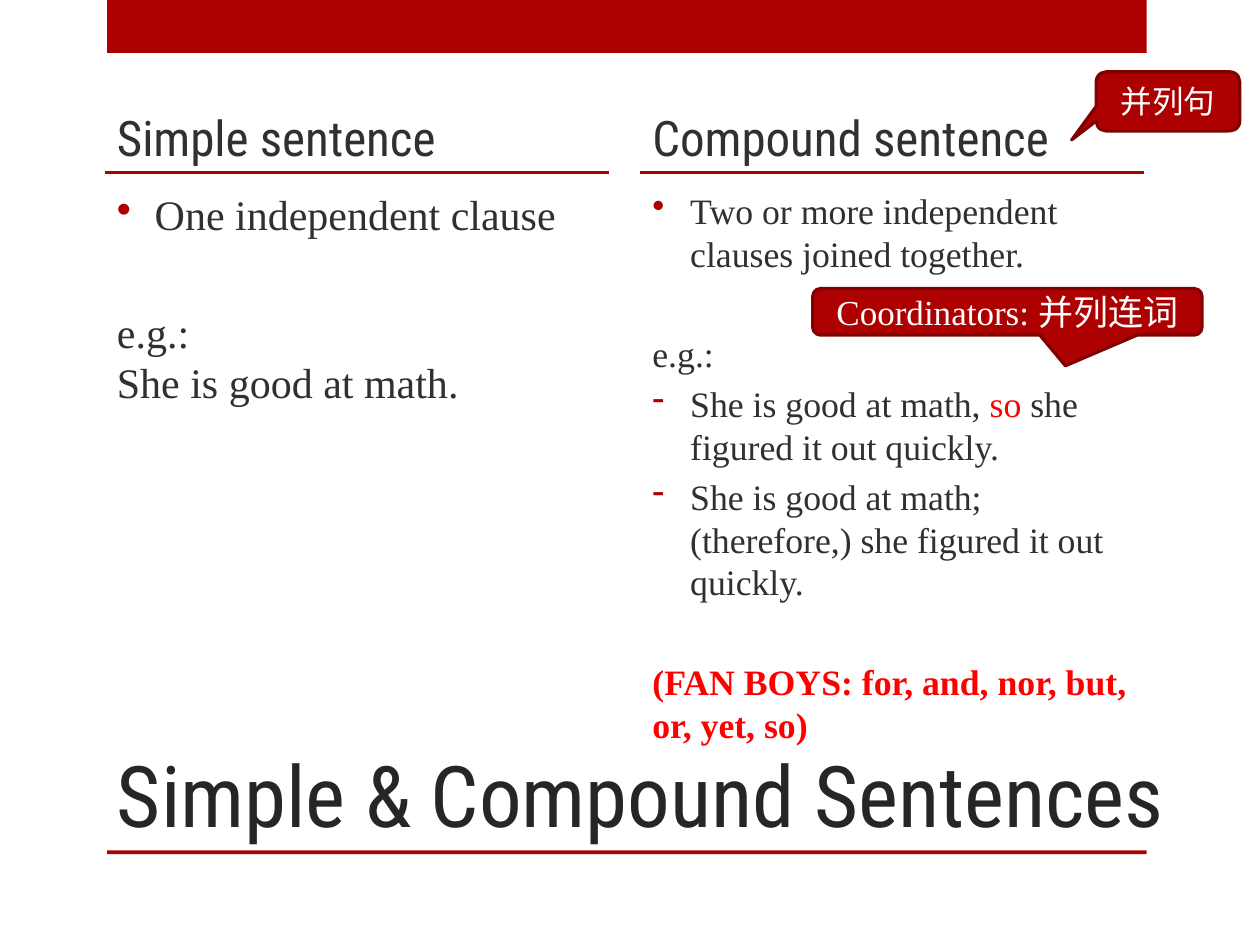
from dataclasses import dataclass

import pptx
import pptx.dml.color
import pptx.enum.shapes
import pptx.enum.text
import pptx.oxml
import pptx.oxml.ns
import pptx.util
from pptx.util import Inches

ANCHOR = pptx.enum.text.MSO_ANCHOR
SHAPE = pptx.enum.shapes.MSO_SHAPE


@dataclass(frozen=True)
class Theme:
    accent: str = "AD0101"
    accent_dark: str = "800101"
    highlight: str = "FF0000"
    title_ink: str = "262626"
    ink: str = "303030"
    paper: str = "FFFFFF"
    display: str = "Roboto Condensed"
    serif: str = "Times New Roman"
    title_size: float = 48.6
    heading_size: float = 28
    simple_size: float = 24
    compound_size: float = 20.4
    space: float = 0.2  # paragraph gap, as a share of the type size
    section_space: float = 1.6


T = Theme()


@dataclass(frozen=True)
class Run:
    text: str
    color: str = T.ink
    bold: bool = False


@dataclass(frozen=True)
class Para:
    runs: tuple[Run, ...]
    bullet: str = ""
    new_section: bool = False


@dataclass(frozen=True)
class Column:
    left: float
    heading: str
    size: float
    height: float
    paras: tuple[Para, ...]


@dataclass(frozen=True)
class Callout:
    box: tuple[float, float, float, float]
    tip: tuple[float, float]
    text: str
    size: float


COLUMNS = (
    Column(0.83, "Simple sentence", T.simple_size, 3.33, (
        Para((Run("One independent clause"),), "•"),
        Para((Run("e.g.: \nShe is good at math."),), new_section=True),
    )),
    Column(5.08, "Compound sentence", T.compound_size, 4.55, (
        Para((Run("Two or more independent clauses joined together."),), "•"),
        Para((Run("e.g.:"),), new_section=True),
        Para((Run("She is good at math, "), Run("so", T.highlight),
              Run(" she figured it out quickly.")), "-"),
        Para((Run("She is good at math; (therefore,) she figured it out quickly."),), "-"),
        Para((Run("(FAN BOYS: for, and, nor, but, or, yet, so)", T.highlight, True),),
             new_section=True),
    )),
)
CALLOUTS = (
    Callout((8.7, 0.57, 1.14, 0.47), (-0.671, 0.651), "并列句", 18),
    Callout((6.45, 2.29, 3.09, 0.37), (0.149, 1.159), "Coordinators: 并列连词", 20),
)
COLUMN_WIDTH = 4
RULE_Y = 1.37


def rgb(value: str) -> pptx.dml.color.RGBColor:
    return pptx.dml.color.RGBColor.from_string(value)


def add_run(p, run: Run, font: str, size: float) -> None:
    """Add the run, turning each newline into a line break."""
    for i, line in enumerate(run.text.split("\n")):
        if i:
            p.add_line_break()
        r = p.add_run()
        r.text = line
        for name, value in {"name": font, "size": pptx.util.Pt(size),
                            "bold": run.bold}.items():
            setattr(r.font, name, value)
        r.font.color.rgb = rgb(run.color)


def add_text_frame(s, box: tuple[float, ...], anchor):
    tf = s.shapes.add_textbox(*map(Inches, box)).text_frame
    tf.word_wrap = True
    tf.vertical_anchor = anchor
    return tf


def set_bullet(p, char: str) -> None:
    pPr = p._p.get_or_add_pPr()
    pPr.set("marL", str(Inches(0.3)))
    pPr.set("indent", str(-Inches(0.3)))
    ns = pptx.oxml.ns.nsdecls("a")
    for xml in (f'<a:buClr {ns}><a:srgbClr val="{T.accent}"/></a:buClr>',
                f'<a:buChar {ns} char="{char}"/>'):
        pPr.append(pptx.oxml.parse_xml(xml))


def add_filled(s, kind, box: tuple[float, ...]):
    sp = s.shapes.add_shape(kind, *map(Inches, box))
    sp.shadow.inherit = False
    sp.fill.solid()
    sp.fill.fore_color.rgb = rgb(T.accent)
    sp.line.fill.background()
    return sp


def add_rule(s, left: float) -> None:
    line = s.shapes.add_connector(
        pptx.enum.shapes.MSO_CONNECTOR.STRAIGHT,
        *map(Inches, (left, RULE_Y, left + COLUMN_WIDTH, RULE_Y)))
    line.line.color.rgb = rgb(T.accent)
    line.line.width = pptx.util.Pt(1.25)
    line._element.spPr.append(
        pptx.oxml.parse_xml(f'<a:effectLst {pptx.oxml.ns.nsdecls("a")}/>'))


def add_column(s, col: Column) -> None:
    add_rule(s, col.left)
    tf = add_text_frame(s, (col.left, 0.67, COLUMN_WIDTH, 0.7), ANCHOR.BOTTOM)
    add_run(tf.paragraphs[0], Run(col.heading), T.display, T.heading_size)

    tf = add_text_frame(s, (col.left, 1.45, COLUMN_WIDTH, col.height), ANCHOR.TOP)
    for i, para in enumerate(col.paras):
        p = tf.add_paragraph() if i else tf.paragraphs[0]
        share = T.section_space if para.new_section else T.space
        p.space_before = pptx.util.Pt(round(share * col.size, 1))
        if para.bullet:
            set_bullet(p, para.bullet)
        for run in para.runs:
            add_run(p, run, T.serif, col.size)


def add_callout(s, callout: Callout) -> None:
    sp = add_filled(s, SHAPE.ROUNDED_RECTANGULAR_CALLOUT, callout.box)
    for i, value in enumerate((*callout.tip, 0.167)):
        sp.adjustments[i] = value
    sp.line.color.rgb = rgb(T.accent_dark)
    sp.line.width = pptx.util.Pt(1.75)
    tf = sp.text_frame
    tf.word_wrap = True
    tf.vertical_anchor = ANCHOR.MIDDLE
    p = tf.paragraphs[0]
    p.alignment = pptx.enum.text.PP_ALIGN.CENTER
    add_run(p, Run(callout.text, T.paper), T.serif, callout.size)


def main() -> None:
    prs = pptx.Presentation()
    prs.slide_width, prs.slide_height = Inches(10), Inches(7.5)
    s = prs.slides.add_slide(prs.slide_layouts[6])

    for top, height in ((0, 0.42), (6.75, 0.03)):
        add_filled(s, SHAPE.RECTANGLE, (0.85, top, 8.25, height))
    tf = add_text_frame(s, (0.83, 5, 9.01, 1.75), ANCHOR.BOTTOM)
    add_run(tf.paragraphs[0], Run("Simple & Compound Sentences", T.title_ink),
            T.display, T.title_size)
    for col in COLUMNS:
        add_column(s, col)
    for callout in CALLOUTS:
        add_callout(s, callout)
    prs.save("out.pptx")


if __name__ == "__main__":
    main()
